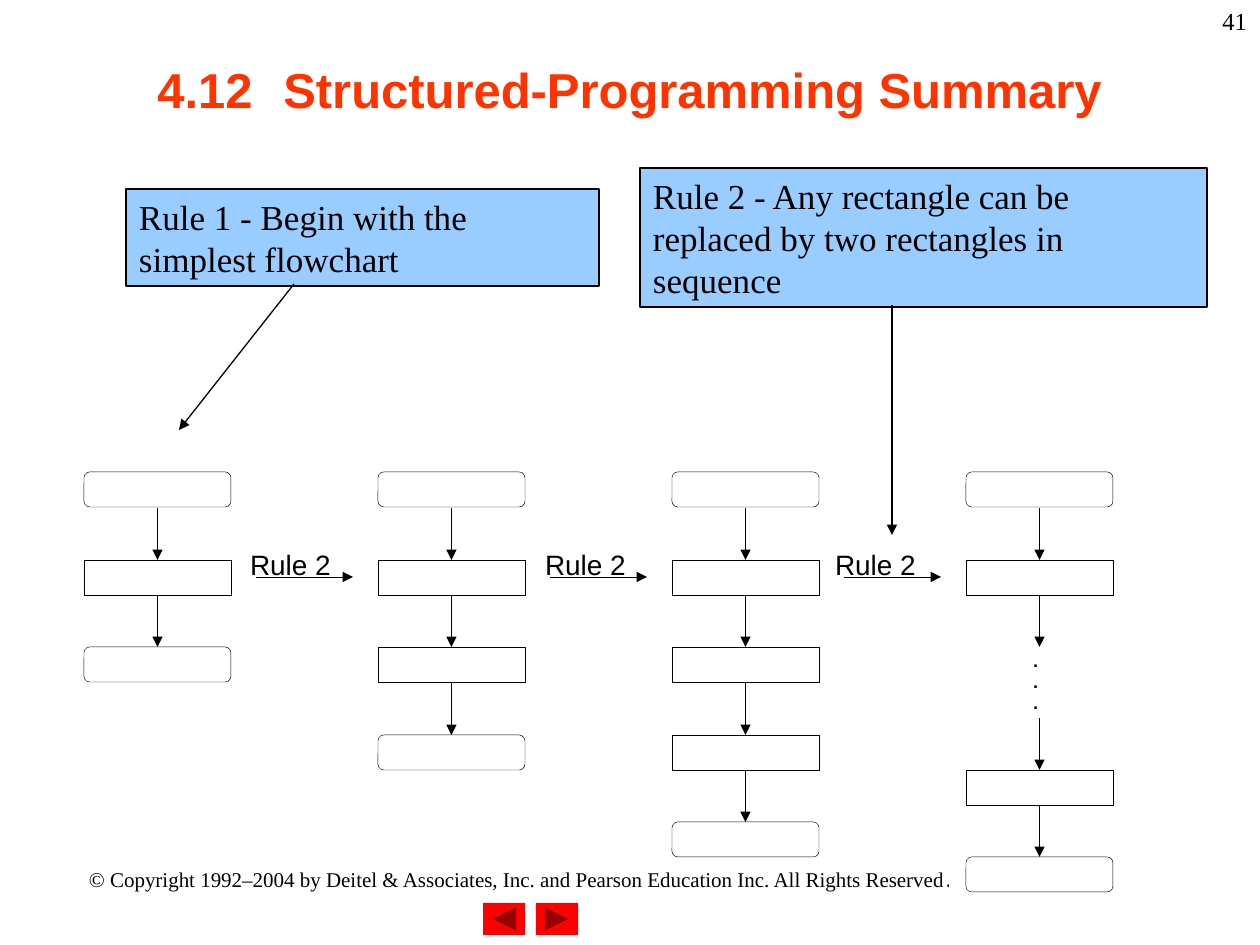
from dataclasses import dataclass
from lxml import etree
from pptx import Presentation, util as u
from pptx.dml.color import RGBColor
from pptx.enum import shapes, text
from pptx.oxml.ns import qn


@dataclass
class Theme:
    ink: str = "000000"
    title: str = "FF3300"
    note: str = "99CCFF"
    button: str = "FF0000"
    sans: str = "Arial"
    serif: str = "Times New Roman"
    mono: str = "Courier New"
    dot: str = "TeX Gyre Adventor"
    head: int = 28
    body: int = 20
    label: int = 16
    page: int = 14
    foot: int = 12
    small: int = 10
    thin: float = 0.25
    line: float = 0.75


T = Theme()
KIND = shapes.MSO_SHAPE
ALIGN = text.PP_ALIGN

TITLE = "4.12\tStructured-Programming Summary"
PAGE = "41"
FOOT = ("© Copyright 1992–2004 by Deitel & Associates, Inc. "
        "and Pearson Education Inc. All Rights Reserved", ".")
NOTES = [  # text, box, arrow
    ("Rule 1 - Begin with the simplest flowchart",
     (126, 189, 473, 97), (294, 284, 179, 430)),
    ("Rule 2 - Any rectangle can be replaced by two rectangles in sequence",
     (640, 168, 567, 139), (892, 305, 892, 535)),
]
CHARTS = [  # each part of a flowchart with its top
    [("end", 472), ("step", 560), ("end", 647)],
    [("end", 472), ("step", 560), ("step", 647), ("end", 735)],
    [("end", 472), ("step", 560), ("step", 647), ("step", 735), ("end", 822)],
    [("end", 472), ("step", 560), ("dots", 647), ("step", 770), ("end", 857)],
]
RULE = "Rule 2"
RULE_X = [250, 545, 835]
DOTS = ".\n.\n."
BUTTONS = [(KIND.ACTION_BUTTON_BACK_OR_PREVIOUS, 483),
           (KIND.ACTION_BUTTON_FORWARD_OR_NEXT, 536)]

LEFT, PITCH, WIDE, HIGH, GAP = 84, 294, 147, 35, 52


def px(n):
    return u.Emu(round(n * 914400 / 126))


def rgb(code):
    return RGBColor.from_string(code)


def style(font, size, name, color=T.ink, bold=False):
    font.size, font.name, font.bold = u.Pt(size), name, bold
    font.color.rgb = rgb(color)


def write(shape, words, size, name, align=ALIGN.LEFT, pad=True, **look):
    frame = shape.text_frame
    frame.text = words
    frame.word_wrap = True
    frame.margin_left = frame.margin_right = px(13 if pad else 0)
    frame.margin_top = frame.margin_bottom = px(6 if pad else 0)
    for para in frame.paragraphs:
        para.alignment = align
        for run in para.runs:
            style(run.font, size, name, **look)
    return frame


def label(slide, spot, *args, **look):
    return write(slide.shapes.add_textbox(*map(px, spot)), *args, **look)


def box(slide, kind, spot, fill=None, width=T.thin):
    shape = slide.shapes.add_shape(kind, *map(px, spot))
    shape.shadow.inherit = False
    if fill:
        shape.fill.solid()
        shape.fill.fore_color.rgb = rgb(fill)
    else:
        shape.fill.background()
    if width:
        shape.line.color.rgb = rgb(T.ink)
        shape.line.width = u.Pt(width)
    else:
        shape.line.fill.background()
    return shape


def arrow(slide, ends, width=T.thin):
    link = slide.shapes.add_connector(
        shapes.MSO_CONNECTOR.STRAIGHT, *map(px, ends))
    link.line.color.rgb = rgb(T.ink)
    link.line.width = u.Pt(width)
    etree.SubElement(link.line._get_or_add_ln(), qn("a:tailEnd"),
                     type="triangle")
    etree.SubElement(link._element.spPr, qn("a:effectLst"))


def add_title(slide):
    head = slide.shapes.title
    head.left, head.top, head.width, head.height = map(px, (94, 10, 1071, 158))
    head.text_frame.text = TITLE
    props = head.text_frame.paragraphs[0]._p.get_or_add_pPr()
    tabs = etree.SubElement(props, qn("a:tabLst"))
    for inch in range(8):
        etree.SubElement(tabs, qn("a:tab"), pos=str(u.Inches(inch)), algn="l")
    para = head.text_frame.paragraphs[0]
    para.alignment = ALIGN.CENTER
    for run in para.runs:
        style(run.font, T.head, T.sans, T.title, True)
    head.text_frame.vertical_anchor = text.MSO_ANCHOR.MIDDLE


def add_chart(slide, left, parts):
    """Draw one flowchart, with an arrow into every part but the first."""
    mid = left + WIDE / 2
    for i, (kind, top) in enumerate(parts):
        if i:
            arrow(slide, (mid, top - GAP, mid, top))
        if kind == "dots":
            label(slide, (mid - 127 + 118, top + 3, 25, 76), DOTS,
                  T.small, T.mono, pad=False, bold=True)
        else:
            form = KIND.ROUNDED_RECTANGLE if kind == "end" else KIND.RECTANGLE
            box(slide, form, (left, top, WIDE, HIGH))


def main():
    deck = Presentation()
    deck.slide_width, deck.slide_height = px(1260), px(945)
    slide = deck.slides.add_slide(deck.slide_layouts[5])

    foot = label(slide, (63, 861, 914, 38), FOOT[0], T.foot, T.serif,
                 align=ALIGN.CENTER)
    stop = foot.paragraphs[0].add_run()
    stop.text = FOOT[1]
    style(stop.font, T.foot, T.dot)
    for kind, left in BUTTONS:
        box(slide, kind, (left, 903, 42, 32), T.button, 0)
    add_title(slide)

    for i, parts in enumerate(CHARTS):
        add_chart(slide, LEFT + i * PITCH, parts)
    for i, left in enumerate(RULE_X):
        start = LEFT + i * PITCH + WIDE + 25
        arrow(slide, (start, 577, start + 97, 577))
        label(slide, (left, 548, 122, 24), RULE, T.label, T.sans, pad=False)

    for words, spot, ends in NOTES:
        note = box(slide, KIND.RECTANGLE, spot, T.note, T.line)
        write(note, words, T.body, T.serif)
        arrow(slide, ends, T.line)
    label(slide, (998, 0, 262, 63), PAGE, T.page, T.serif, align=ALIGN.RIGHT)
    deck.save("out.pptx")


if __name__ == "__main__":
    main()
